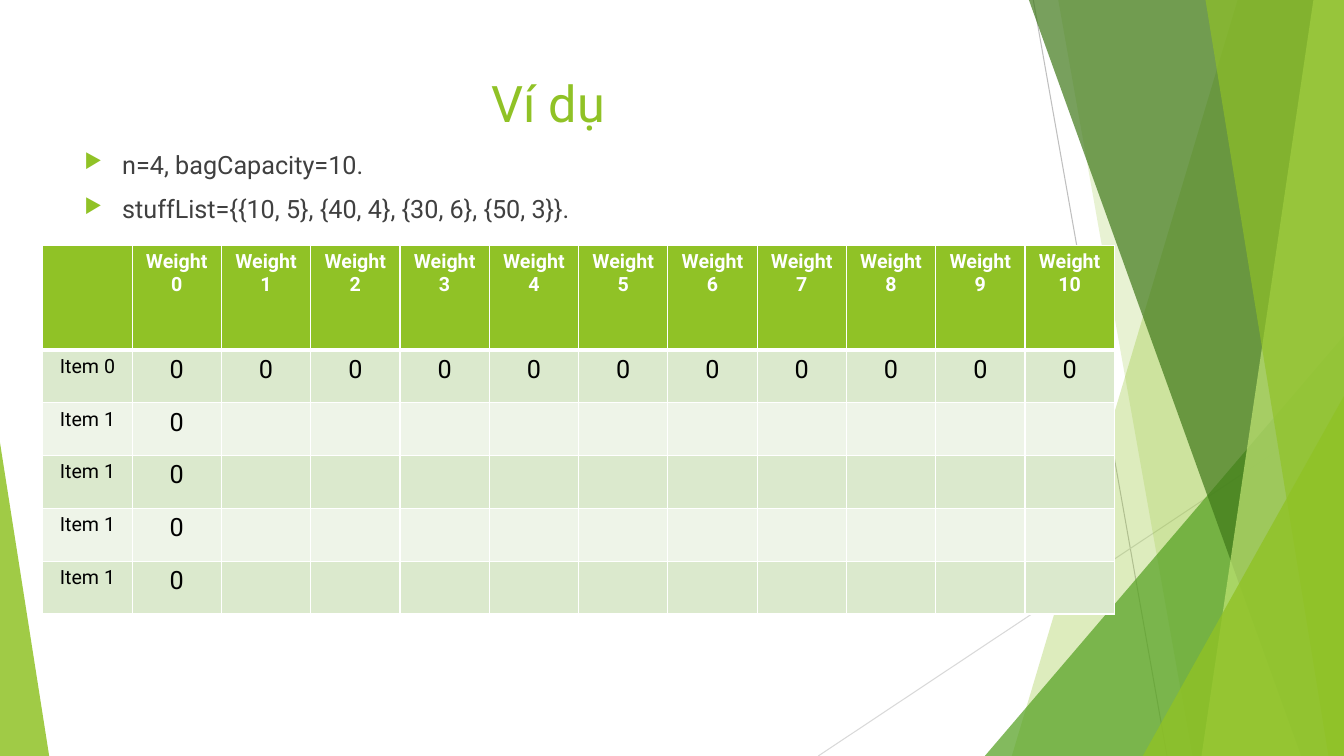
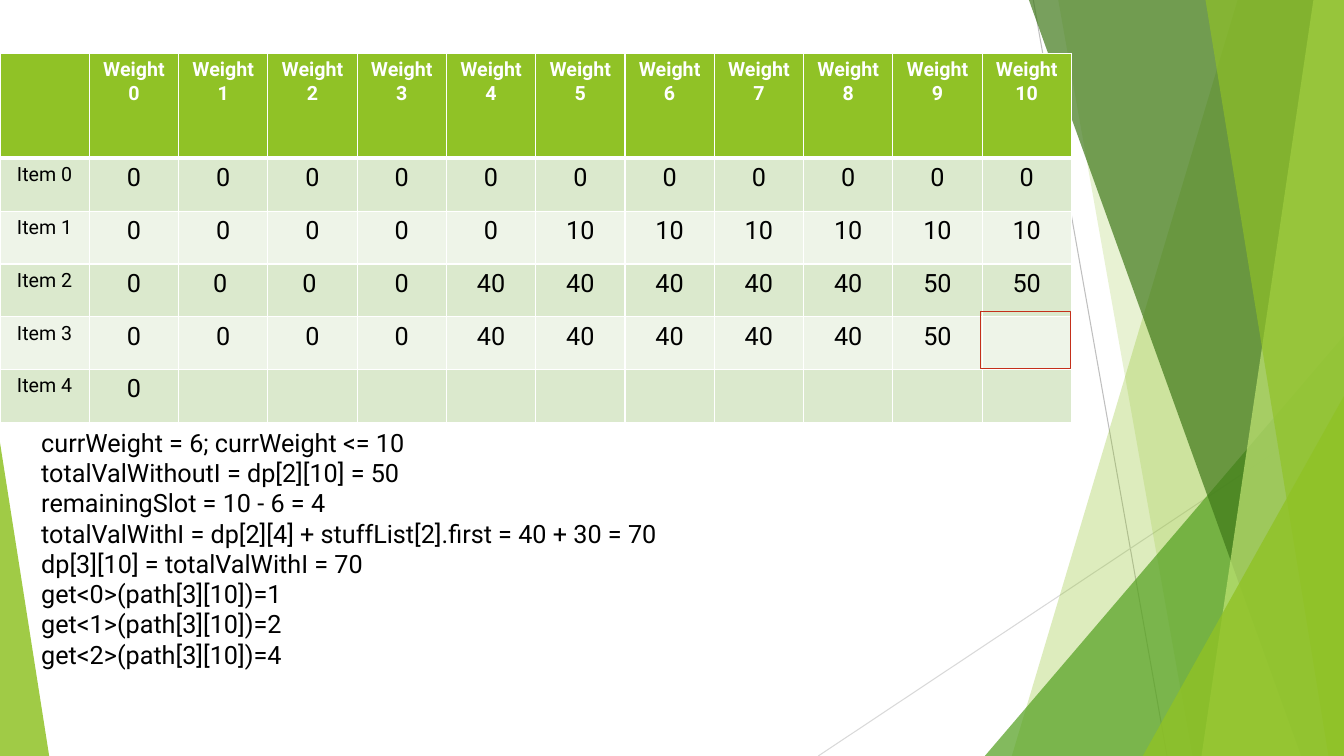
from dataclasses import dataclass

import lxml.etree
import pptx
import pptx.dml.color
import pptx.enum.shapes
import pptx.enum.text
import pptx.oxml.ns
import pptx.shapes.autoshape
import pptx.slide
import pptx.table
import pptx.text.text
import pptx.util

Cm = pptx.util.Cm
Pt = pptx.util.Pt
RGBColor = pptx.dml.color.RGBColor
qn = pptx.oxml.ns.qn
MSO_SHAPE = pptx.enum.shapes.MSO_SHAPE
CENTER = pptx.enum.text.PP_ALIGN.CENTER

GREEN = RGBColor(0x90, 0xC2, 0x26)
MID_GREEN = RGBColor(0x54, 0xA0, 0x21)
DARK_GREEN = RGBColor(0x3F, 0x78, 0x19)
LIGHT_GREEN = RGBColor(0xC0, 0xE4, 0x74)
ROW_TINTS = (RGBColor(0xDB, 0xE9, 0xCD), RGBColor(0xEE, 0xF4, 0xE8))
RED = RGBColor(0xC4, 0x2F, 0x1A)
GREY = RGBColor(0xBF, 0xBF, 0xBF)
PALE_GREY = RGBColor(0xD9, 0xD9, 0xD9)
TEXT_GREY = RGBColor(0x40, 0x40, 0x40)
BLACK = RGBColor(0, 0, 0)
WHITE = RGBColor(0xFF, 0xFF, 0xFF)

FONT = "Roboto"
WIDTH, HEIGHT = 33.87, 19.05
COLUMN_WIDTH = 2.25
HEADER_HEIGHT, ROW_HEIGHT = 2.64, 1.33
MAX_WEIGHT = 10


@dataclass(frozen=True)
class Ray:
    start: tuple[float, float]
    end: tuple[float, float]
    color: RGBColor


@dataclass(frozen=True)
class Band:
    """A full-height area from a slanted left edge to the slide's right edge."""
    top_x: float
    bottom_x: float
    color: RGBColor
    opacity: int


@dataclass(frozen=True)
class Wedge:
    """A right triangle standing on the slide's bottom edge."""
    left: float
    top: float
    width: float
    apex: float
    color: RGBColor
    opacity: int


@dataclass(frozen=True)
class ItemRow:
    label: str
    values: list[str]


RAYS = (
    Ray((26.04, 0), (29.41, HEIGHT), GREY),
    Ray((WIDTH, 10.24), (20.62, HEIGHT), PALE_GREY),
)
FACETS = (
    Band(31.19, 25.5, GREEN, 30),
    Band(26.67, 30.05, GREEN, 20),
    Wedge(24.82, 8.46, 9.05, 1, MID_GREEN, 72),
    Band(25.93, 32.79, DARK_GREEN, 70),
    Band(33.1, 30.28, LIGHT_GREEN, 70),
    Band(30.38, 33.48, GREEN, 65),
    Wedge(28.8, 9.98, 5.07, 1, GREEN, 80),
    Wedge(0, 11.15, 1.24, 0, GREEN, 85),
)

START_ROWS = [ItemRow("Item 0", ["0"] * 11)] + [ItemRow("Item 1", ["0"])] * 4
PROGRESS_ROWS = [
    ItemRow("Item 0", ["0"] * 11),
    ItemRow("Item 1", ["0"] * 5 + ["10"] * 6),
    ItemRow("Item 2", ["0", "0 ", "0 ", "0"] + ["40"] * 5 + ["50"] * 2),
    ItemRow("Item 3", ["0"] * 4 + ["40"] * 5 + ["50"]),
    ItemRow("Item 4", ["0"]),
]
INPUT_LINES = [
    "n=4, bagCapacity=10.",
    "stuffList={{10, 5}, {40, 4}, {30, 6}, {50, 3}}.",
]
STEP_LINES = [
    "currWeight = 6; currWeight <= 10",
    "totalValWithoutI = dp[2][10] = 50",
    "remainingSlot = 10 - 6 = 4",
    "totalValWithI = dp[2][4] + stuffList[2].first = 40 + 30 = 70",
    "dp[3][10] = totalValWithI = 70",
    "get<0>(path[3][10])=1",
    "get<1>(path[3][10])=2",
    "get<2>(path[3][10])=4",
]


def set_font(paragraph: pptx.text.text._Paragraph, size: float, color: RGBColor,
             bold: bool = False) -> None:
    font = paragraph.font
    font.name, font.size, font.bold = FONT, Pt(size), bold
    font.color.rgb = color


def add_ray(slide: pptx.slide.Slide, ray: Ray) -> None:
    connector = slide.shapes.add_connector(
        pptx.enum.shapes.MSO_CONNECTOR.STRAIGHT,
        *(Cm(value) for value in ray.start + ray.end))
    connector.line.color.rgb = ray.color
    connector.line.width = Pt(0.75)
    lxml.etree.SubElement(connector._element.spPr, qn("a:effectLst"))


def add_facet(slide: pptx.slide.Slide, facet: Band | Wedge) -> None:
    if isinstance(facet, Band):
        builder = slide.shapes.build_freeform(Cm(facet.top_x), 0)
        builder.add_line_segments([
            (Cm(WIDTH), 0), (Cm(WIDTH), Cm(HEIGHT)), (Cm(facet.bottom_x), Cm(HEIGHT))])
        shape = builder.convert_to_shape()
    else:
        shape = slide.shapes.add_shape(
            MSO_SHAPE.ISOSCELES_TRIANGLE, Cm(facet.left), Cm(facet.top),
            Cm(facet.width), Cm(HEIGHT - facet.top))
        shape.adjustments[0] = facet.apex
    shape.shadow.inherit = False
    shape.line.fill.background()
    shape.fill.solid()
    shape.fill.fore_color.rgb = facet.color
    color = shape._element.spPr.find(qn("a:solidFill"))[0]
    lxml.etree.SubElement(color, qn("a:alpha"), val=str(facet.opacity * 1000))


def add_slide(presentation: pptx.presentation.Presentation) -> pptx.slide.Slide:
    """Add a blank slide with the green facets."""
    slide = presentation.slides.add_slide(presentation.slide_layouts[6])
    for ray in RAYS:
        add_ray(slide, ray)
    for facet in FACETS:
        add_facet(slide, facet)
    return slide


def add_text(slide: pptx.slide.Slide, lines: list[str], left: float, top: float,
             width: float, height: float, size: float, color: RGBColor,
             centered: bool = False, bulleted: bool = False) -> None:
    frame = slide.shapes.add_textbox(Cm(left), Cm(top), Cm(width), Cm(height)).text_frame
    frame.word_wrap = True
    for index, line in enumerate(lines):
        paragraph = frame.add_paragraph() if index else frame.paragraphs[0]
        paragraph.text = line
        if centered:
            paragraph.alignment = CENTER
        if bulleted:
            add_bullet(paragraph)
            if index:
                paragraph.space_before = Pt(10)
        set_font(paragraph, size, color)


def add_bullet(paragraph: pptx.text.text._Paragraph) -> None:
    properties = paragraph._p.get_or_add_pPr()
    properties.set("marL", str(Cm(0.95)))
    properties.set("indent", str(-Cm(0.95)))
    color = lxml.etree.SubElement(properties, qn("a:buClr"))
    lxml.etree.SubElement(color, qn("a:srgbClr"), val=str(GREEN))
    lxml.etree.SubElement(properties, qn("a:buSzPct"), val="80000")
    lxml.etree.SubElement(properties, qn("a:buChar"), char="▶")


def set_borders(cell: pptx.table._Cell, top: float, bottom: float) -> None:
    properties = cell._tc.get_or_add_tcPr()
    for side, width in (("L", 1), ("R", 1), ("T", top), ("B", bottom)):
        line = lxml.etree.SubElement(properties, qn(f"a:ln{side}"), w=str(Pt(width)))
        fill = lxml.etree.SubElement(line, qn("a:solidFill"))
        lxml.etree.SubElement(fill, qn("a:srgbClr"), val=str(WHITE))


def fill_cell(cell: pptx.table._Cell, text: str, row: int, column: int) -> None:
    is_header = row == 0
    set_borders(cell, 3 if row == 1 else 1, 3 if is_header else 1)
    cell.fill.solid()
    cell.fill.fore_color.rgb = GREEN if is_header else ROW_TINTS[(row - 1) % 2]
    paragraph = cell.text_frame.paragraphs[0]
    paragraph.text = text
    paragraph.alignment = CENTER
    set_font(paragraph, 14 if is_header or column == 0 else 18,
             WHITE if is_header else BLACK, is_header)


def add_weight_table(slide: pptx.slide.Slide, left: float, top: float,
                     item_rows: list[ItemRow]) -> None:
    header = [""] + [f"Weight {weight}" for weight in range(MAX_WEIGHT + 1)]
    grid = [header] + [[item.label, *item.values] for item in item_rows]
    column_count = len(header)
    table = slide.shapes.add_table(
        len(grid), column_count, Cm(left), Cm(top), Cm(COLUMN_WIDTH * column_count),
        Cm(HEADER_HEIGHT + ROW_HEIGHT * len(item_rows))).table
    for column in table.columns:
        column.width = Cm(COLUMN_WIDTH)
    for row, texts in enumerate(grid):
        table.rows[row].height = Cm(ROW_HEIGHT if row else HEADER_HEIGHT)
        for column in range(column_count):
            text = texts[column] if column < len(texts) else ""
            fill_cell(table.cell(row, column), text, row, column)


def add_highlight(slide: pptx.slide.Slide, left: float, top: float,
                  width: float, height: float) -> None:
    shape = slide.shapes.add_shape(
        MSO_SHAPE.RECTANGLE, Cm(left), Cm(top), Cm(width), Cm(height))
    shape.shadow.inherit = False
    shape.fill.background()
    shape.line.color.rgb = RED
    shape.line.width = Pt(0.75)


def build_example_slide(presentation: pptx.presentation.Presentation) -> None:
    slide = add_slide(presentation)
    add_text(slide, ["Ví dụ"], 1.88, 1.7, 23.88, 3.66, 36, GREEN, centered=True)
    add_text(slide, INPUT_LINES, 1.88, 3.63, 23.88, 13.16, 18, TEXT_GREY, bulleted=True)
    add_weight_table(slide, 1.08, 6.18, START_ROWS)


def build_step_slide(presentation: pptx.presentation.Presentation) -> None:
    slide = add_slide(presentation)
    add_weight_table(slide, 0, 1.35, PROGRESS_ROWS)
    add_highlight(slide, 24.72, 7.85, 2.25, 1.43)
    add_text(slide, STEP_LINES, 0.79, 10.64, 25.55, 8.4, 18, BLACK)


def main() -> None:
    presentation = pptx.Presentation()
    presentation.slide_width = Cm(WIDTH)
    presentation.slide_height = Cm(HEIGHT)
    build_example_slide(presentation)
    build_step_slide(presentation)
    presentation.save("out.pptx")


if __name__ == "__main__":
    main()
